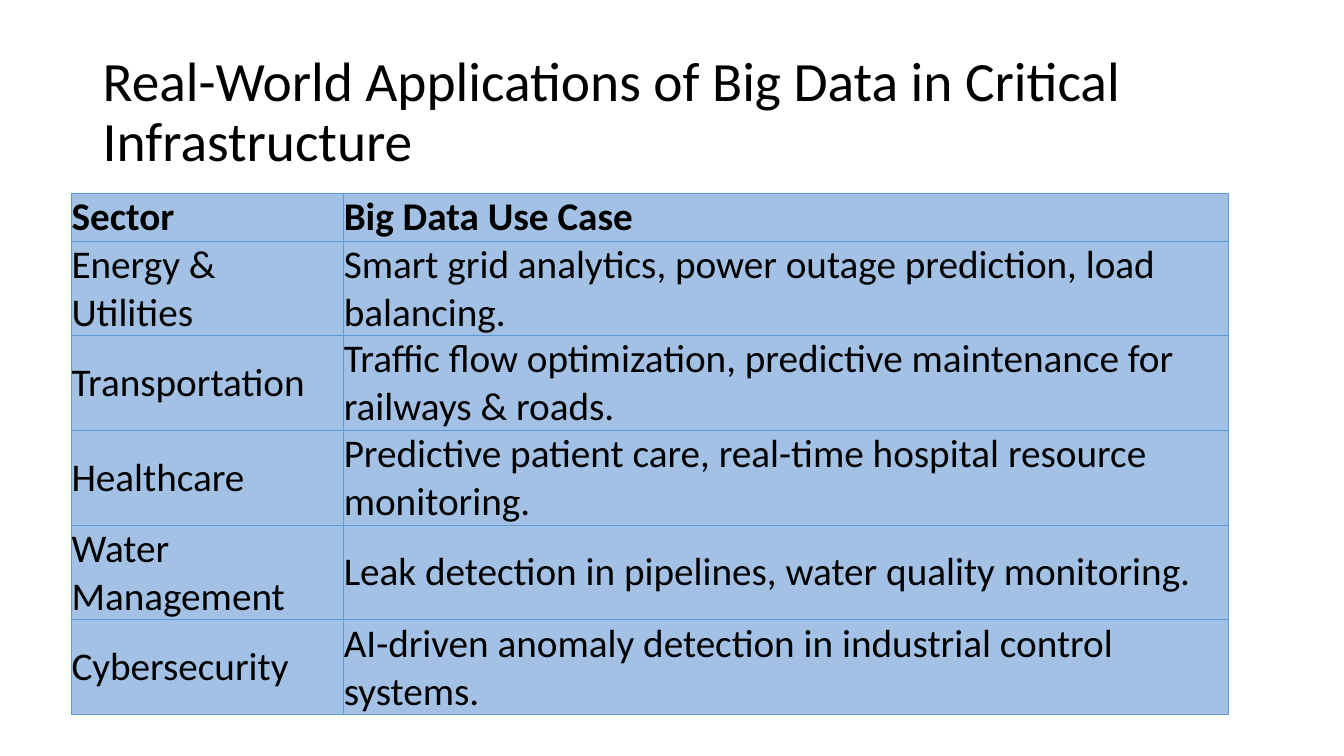
from lxml.etree import SubElement
from pptx import Presentation
from pptx.dml.color import RGBColor
from pptx.enum.text import MSO_ANCHOR
from pptx.oxml.ns import qn
from pptx.util import Inches, Pt

TITLE = "Real-World Applications of Big Data in Critical Infrastructure"
USE_CASES = [
    ("Sector", "Big Data Use Case"),
    ("Energy & Utilities", "Smart grid analytics, power outage prediction, load balancing."),
    ("Transportation", "Traffic flow optimization, predictive maintenance for railways & roads."),
    ("Healthcare", "Predictive patient care, real-time hospital resource monitoring."),
    ("Water Management", "Leak detection in pipelines, water quality monitoring."),
    ("Cybersecurity", "AI-driven anomaly detection in industrial control systems."),
]
COLUMN_WIDTHS = (2.7, 8.77)
LINE_HEIGHT = 0.47
BLACK, CELL_FILL, BORDER = "000000", "A3C1E5", "5B9BD5"


def color(value):
    return RGBColor.from_string(value)


def write(frame, text, size, bold=False):
    para = frame.paragraphs[0]
    span = para.add_run()
    span.text = text
    font_format = {"name": "Calibri", "size": Pt(size), "bold": bold}
    for name, value in font_format.items():
        setattr(span.font, name, value)
    span.font.color.rgb = color(BLACK)
    return para


def add_borders(cell):
    properties = cell._tc.get_or_add_tcPr()
    for side in ("a:lnL", "a:lnR", "a:lnT", "a:lnB"):
        line = SubElement(properties, qn(side), w=str(Pt(0.5)))
        fill = SubElement(line, qn("a:solidFill"))
        SubElement(fill, qn("a:srgbClr"), val=BORDER)


def add_title(page, left, top, width, height):
    box = page.shapes.add_textbox(Inches(left), Inches(top), Inches(width), Inches(height))
    box.text_frame.word_wrap = True
    box.text_frame.vertical_anchor = MSO_ANCHOR.MIDDLE
    write(box.text_frame, TITLE, 39.6).line_spacing = 0.9


def fill_cell(cell, text, bold):
    cell_format = {"margin_left": 0, "margin_right": 0, "margin_top": 0,
                   "margin_bottom": 0, "vertical_anchor": MSO_ANCHOR.MIDDLE}
    for name, value in cell_format.items():
        setattr(cell, name, value)
    add_borders(cell)
    cell.fill.solid()
    cell.fill.fore_color.rgb = color(CELL_FILL)
    write(cell.text_frame, text, 28, bold)


def add_use_case_table(page, left, top, width, height):
    table = page.shapes.add_table(len(USE_CASES), len(COLUMN_WIDTHS), Inches(left),
                                  Inches(top), Inches(width), Inches(height)).table
    table.horz_banding = False
    for column, column_width in zip(table.columns, COLUMN_WIDTHS):
        column.width = Inches(column_width)
    for index, texts in enumerate(USE_CASES):
        table.rows[index].height = Inches(LINE_HEIGHT * (2 if index else 1))
        for cell, text in zip(table.rows[index].cells, texts):
            fill_cell(cell, text, bold=index == 0)


def main():
    deck = Presentation()
    deck.slide_width, deck.slide_height = Inches(13.33), Inches(7.5)
    page = deck.slides.add_slide(deck.slide_layouts[6])
    add_title(page, 0.92, 0.4, 11.5, 1.45)
    table_height = LINE_HEIGHT * (2 * len(USE_CASES) - 1)
    add_use_case_table(page, 0.71, 1.92, sum(COLUMN_WIDTHS), table_height)
    deck.save("out.pptx")


if __name__ == "__main__":
    main()
